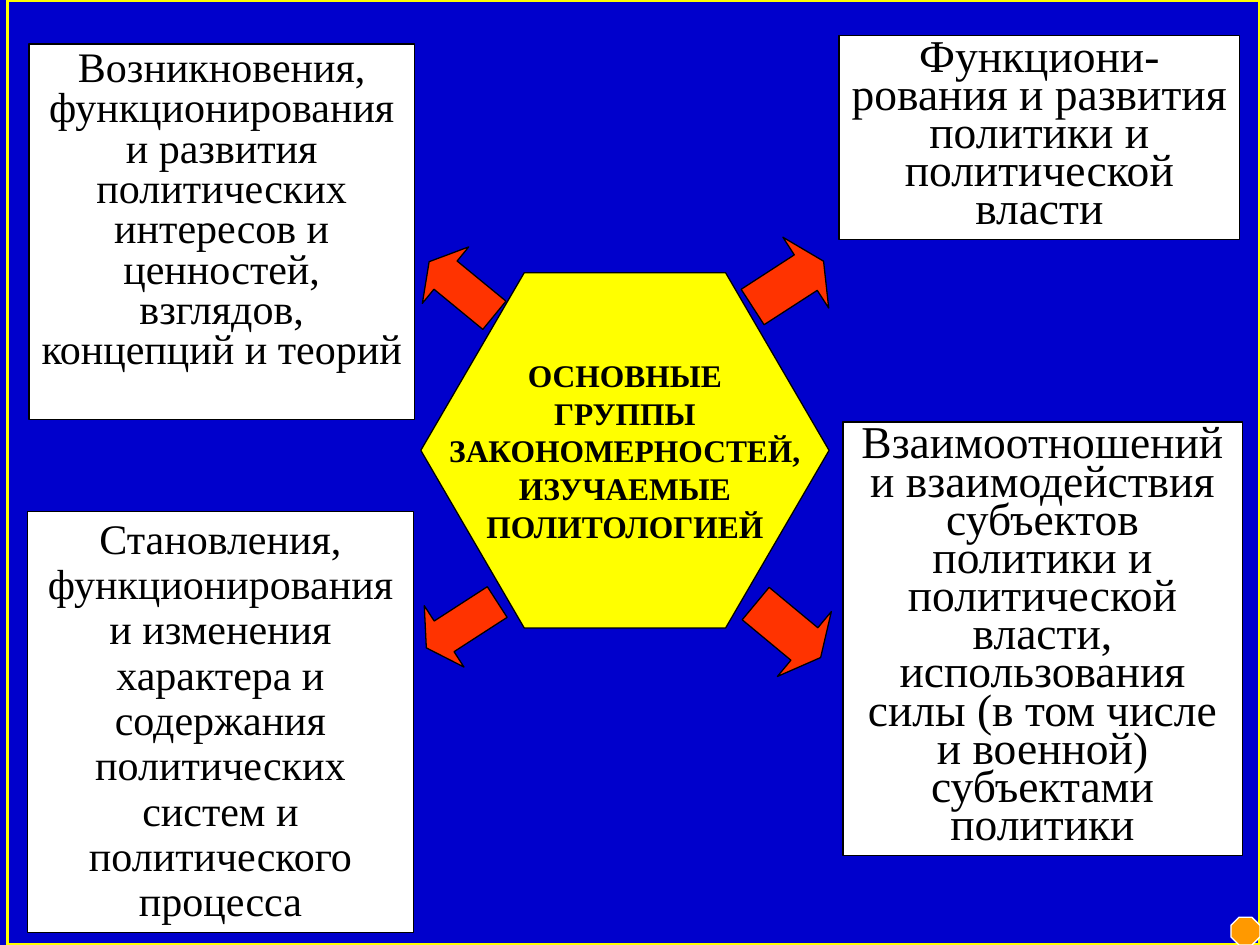
import pptx
import pptx.util
import pptx.dml.color
import pptx.enum.shapes
import pptx.enum.text

Inches, Pt = pptx.util.Inches, pptx.util.Pt
SHAPE = pptx.enum.shapes.MSO_SHAPE
ANCHOR = pptx.enum.text.MSO_ANCHOR
CENTER = pptx.enum.text.PP_ALIGN.CENTER

THEME = {
    "font": "Times New Roman",
    "blue": "0000CC", "yellow": "FFFF00", "orange": "FF9900",
    "red": "FF3300", "white": "FFFFFF", "black": "000000",
    "frame": 2.25, "outline": 0.75,
    "small": 18, "medium": 24, "large": 26,
}


def rgb(name):
    return pptx.dml.color.RGBColor.from_string(THEME[name])


def add_shape(kind, box, fill, line="black", width="outline", adj=(), rot=0):
    sp = s.shapes.add_shape(kind, *[Inches(v) for v in box])
    sp.shadow.inherit = False
    sp.rotation = rot
    for i, value in enumerate(adj):
        sp.adjustments[i] = value
    if fill:
        sp.fill.solid()
        sp.fill.fore_color.rgb = rgb(fill)
    else:
        sp.fill.background()
    sp.line.color.rgb = rgb(line)
    sp.line.width = Pt(THEME[width])
    return sp


def add_text(sp, lines, size, bold=False, spacing=1.0, anchor=ANCHOR.TOP, wrap=True):
    tf = sp.text_frame
    frame_format = {"word_wrap": wrap, "vertical_anchor": anchor}
    for key, value in frame_format.items():
        setattr(tf, key, value)
    font_format = {"name": THEME["font"], "size": Pt(THEME[size]), "bold": bold}
    for i, line in enumerate(lines):
        p = tf.paragraphs[0] if i == 0 else tf.add_paragraph()
        p.alignment = CENTER
        p.line_spacing = spacing
        r = p.add_run()
        r.text = line
        for key, value in font_format.items():
            setattr(r.font, key, value)
        r.font.color.rgb = rgb("black")


prs = pptx.Presentation()
prs.slide_width, prs.slide_height = Inches(10), Inches(7.5)
s = prs.slides.add_slide(prs.slide_layouts[6])

# Background, frame and corner octagon
s.background.fill.solid()
s.background.fill.fore_color.rgb = rgb("blue")
add_shape(SHAPE.RECTANGLE, (0.06, 0, 9.94, 7.5), None, "yellow", "frame")
add_shape(SHAPE.OCTAGON, (9.77, 7.28, 0.23, 0.22), "orange", "white", adj=[0.29])

# Groups of regularities
groups = [
    ((0.23, 0.35, 3.06, 2.98), "medium", 0.8,
     "Возникновения, функционирования и развития политических интересов "
     "и ценностей, взглядов, концепций и теорий"),
    ((6.66, 0.28, 3.18, 1.62), "large", 0.7,
     "Функциони-рования и развития политики и политической власти"),
    ((0.22, 4.06, 3.06, 3.34), "medium", 0.9,
     "Становления, функционирования и изменения характера и содержания "
     "политических систем и политического процесса"),
    ((6.69, 3.35, 3.17, 3.44), "large", 0.7,
     "Взаимоотношений и взаимодействия субъектов политики и политической "
     "власти, использования силы (в том числе и военной) субъектами политики"),
]
for box, size, spacing, text in groups:
    add_text(add_shape(SHAPE.RECTANGLE, box, "white"), [text], size, spacing=spacing)

# Central hexagon
hexagon = add_shape(SHAPE.HEXAGON, (3.34, 2.16, 3.24, 2.83), "yellow", adj=[0.29, 1.15])
title = ["ОСНОВНЫЕ", "ГРУППЫ", "ЗАКОНОМЕРНОСТЕЙ,", "ИЗУЧАЕМЫЕ", "ПОЛИТОЛОГИЕЙ"]
add_text(hexagon, title, "small", bold=True, anchor=ANCHOR.MIDDLE, wrap=False)

# Arrows from the hexagon to the groups
arrows = [
    (SHAPE.LEFT_ARROW, 3.33, 2, 0.58, 39.4),
    (SHAPE.RIGHT_ARROW, 5.92, 1.92, 0.67, 327.1),
    (SHAPE.RIGHT_ARROW, 5.92, 4.67, 0.67, 39.7),
    (SHAPE.LEFT_ARROW, 3.33, 4.67, 0.58, 327.1),
]
for kind, left, top, height, rot in arrows:
    head = 0.29 if kind == SHAPE.LEFT_ARROW else 0.25
    add_shape(kind, (left, top, 0.67, height), "red", adj=[0.5, head], rot=rot)

prs.save("out.pptx")
